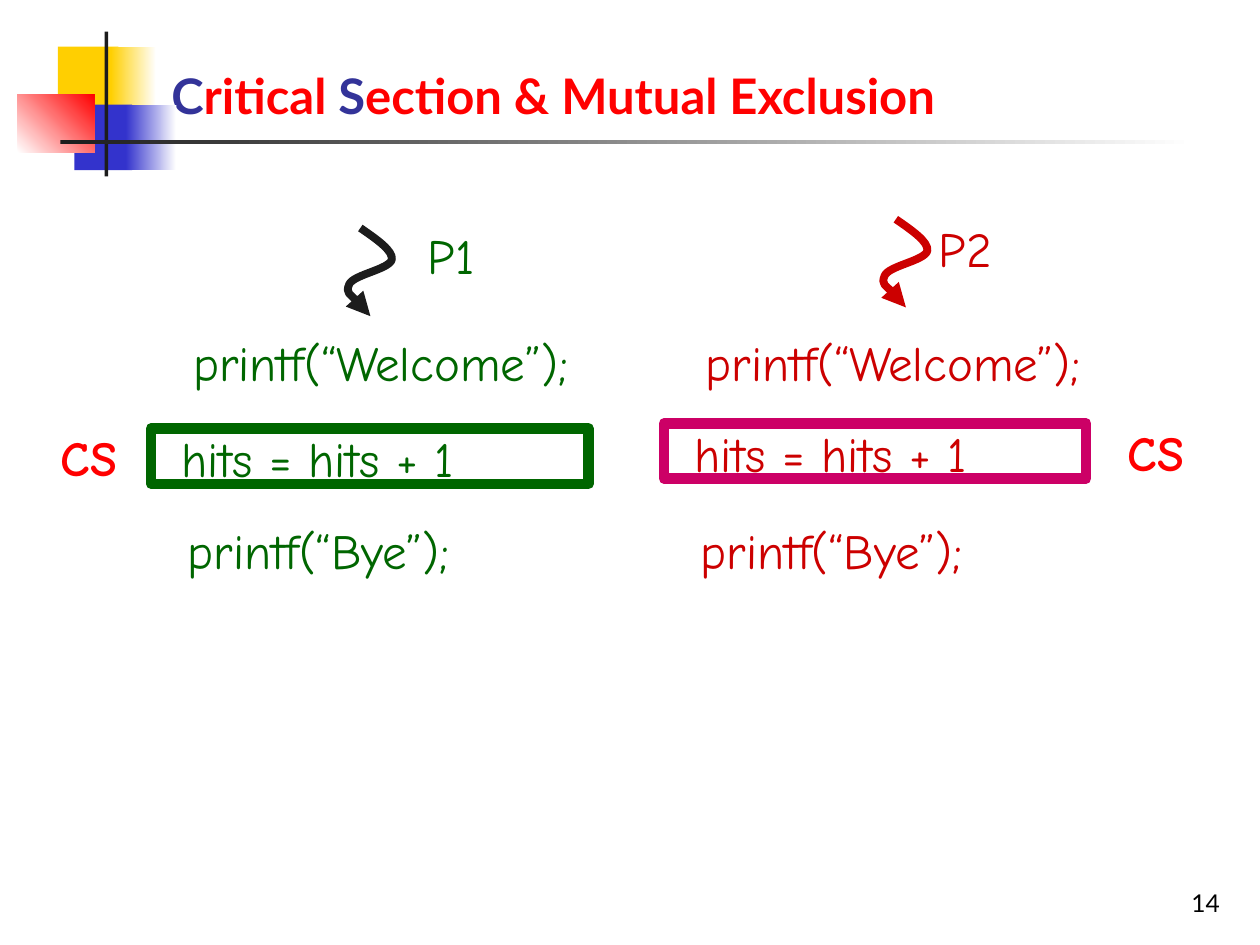
from lxml import etree
from pptx import Presentation
from pptx.dml.color import RGBColor
from pptx.enum.shapes import MSO_SHAPE
from pptx.enum.text import MSO_ANCHOR, MSO_AUTO_SIZE, PP_ALIGN
from pptx.oxml.ns import qn
from pptx.util import Inches, Pt

RECT = MSO_SHAPE.RECTANGLE
LEFT, CENTER, RIGHT = PP_ALIGN.LEFT, PP_ALIGN.CENTER, PP_ALIGN.RIGHT
BOTTOM, MIDDLE = MSO_ANCHOR.BOTTOM, MSO_ANCHOR.MIDDLE
TITLE_FONT, CODE_FONT = "Lato", "Comic Neue"
COLORS = {
    "yellow": "FFCF01", "blue": "3333CC", "red": "FF0000", "ink": "1C1C1C",
    "white": "FFFFFF", "black": "000000", "navy": "333399",
    "green": "006600", "crimson": "CC0000", "magenta": "CC0066",
}
ROW = 0.745  # distance between lines of code
LINE_H = 0.57
# Start point, then three points for each Bézier segment
SQUIGGLE = [(0.12, 0), (0.25, 0.09), (0.38, 0.18), (0.37, 0.25),
            (0.35, 0.33), (0.06, 0.37), (0.03, 0.45),
            (0, 0.52), (0.17, 0.65), (0.2, 0.7)]


def rgb(name):
    return RGBColor.from_string(COLORS[name])


def add_rect(s, box, fill=None, fade_to=None, angle=0, line=None):
    sp = s.shapes.add_shape(RECT, *map(Inches, box))
    sp.shadow.inherit = False
    if fade_to:
        sp.fill.gradient()
        sp.fill.gradient_angle = angle
        for stop, color in zip(sp.fill.gradient_stops, (fill, fade_to)):
            stop.color.rgb = rgb(color)
            stop.position = 0 if color == fill else 1
    elif fill:
        sp.fill.solid()
        sp.fill.fore_color.rgb = rgb(fill)
    else:
        sp.fill.background()
    if line:
        sp.line.color.rgb = rgb(line)
        sp.line.width = Pt(6)
    else:
        sp.line.fill.background()


def style(p, font, size, color, align, bold=False):
    p.alignment = align
    p.font.name, p.font.size, p.font.bold = font, Pt(size), bold
    p.font.color.rgb = rgb(color)


def add_code(s, x, y, w, text, color, bold=False):
    tf = s.shapes.add_textbox(*map(Inches, (x, y, w, LINE_H))).text_frame
    tf.word_wrap = False
    tf.auto_size = MSO_AUTO_SIZE.SHAPE_TO_FIT_TEXT
    tf.vertical_anchor = MIDDLE
    tf.text = text
    style(tf.paragraphs[0], CODE_FONT, 28, color, CENTER, bold)


def add_squiggle(s, x, y, color):
    """Draw a curved thread arrow, turning each three points into a Bézier."""
    points = [(Inches(x + dx), Inches(y + dy)) for dx, dy in SQUIGGLE]
    builder = s.shapes.build_freeform(*points[0])
    builder.add_line_segments(points[1:], close=False)
    sp = builder.convert_to_shape()
    sp.shadow.inherit = False
    sp.fill.background()
    sp.line.color.rgb = rgb(color)
    sp.line.width = Pt(4.5)
    segments = list(sp.element.iter(qn("a:lnTo")))
    for i in range(0, len(segments), 3):
        curve = etree.Element(qn("a:cubicBezTo"))
        segments[i].addprevious(curve)
        for segment in segments[i:i + 3]:
            curve.append(segment[0])
            segment.getparent().remove(segment)
    etree.SubElement(sp.line._get_or_add_ln(), qn("a:tailEnd"), type="triangle")


def draw_ornament(s, x, y):
    """Overlapping squares, vertical bar and fading title rule."""
    add_rect(s, (x + 0.32, y + 0.12, 0.48, 0.52), "yellow")
    add_rect(s, (x + 0.74, y + 0.12, 0.36, 0.52), "yellow", "white")
    add_rect(s, (x + 0.45, y + 0.58, 0.46, 0.52), "blue")
    add_rect(s, (x + 0.86, y + 0.58, 0.4, 0.52), "blue", "white")
    add_rect(s, (x, y + 0.5, 0.61, 0.46), "white", "red", 45)
    add_rect(s, (x + 0.69, y, 0.03, 1.15), "ink")
    add_rect(s, (x + 0.34, y + 0.86, 9, 0.03), "ink", "white")


def draw_title(s, box):
    title = s.shapes.title
    title.left, title.top, title.width, title.height = map(Inches, box)
    tf = title.text_frame
    tf.auto_size = MSO_AUTO_SIZE.NONE
    tf.vertical_anchor = BOTTOM
    p = tf.paragraphs[0]
    style(p, TITLE_FONT, 28, "red", LEFT, True)
    for text, color in (("C", "navy"), ("ritical ", "red"), ("S", "navy"),
                        ("ection & Mutual Exclusion", "red")):
        r = p.add_run()
        r.text = text
        r.font.color.rgb = rgb(color)


def draw_process(s, x, y, name, color, arrow, arrow_color, label, cs_x,
                 hits_dy, frame_w, frame_color):
    """One thread: arrow and label on top, then code with its framed section."""
    add_squiggle(s, x + arrow[0], y + arrow[1], arrow_color)
    add_code(s, x + label[0], y + label[1], label[2], name, color)
    add_code(s, x, y, 3.64, "printf(“Welcome”);", color)
    hits_y = y + ROW + hits_dy
    add_code(s, x, hits_y, 2.64, "hits = hits + 1", color)
    add_code(s, cs_x, hits_y - 0.01, 0.71, "CS", "red", True)
    add_rect(s, (x, hits_y + 0.05, frame_w, 0.44), line=frame_color)
    add_code(s, x, y + 2 * ROW, 2.66, "printf(“Bye”);", color)


def draw_page_number(s, box, number):
    tf = s.shapes.add_textbox(*map(Inches, box)).text_frame
    tf.word_wrap = True
    tf.vertical_anchor = BOTTOM
    tf.text = number
    style(tf.paragraphs[0], TITLE_FONT, 14, "black", RIGHT)


def main():
    prs = Presentation()
    prs.slide_width, prs.slide_height = Inches(10), Inches(7.5)
    s = prs.slides.add_slide(prs.slide_layouts[5])
    draw_ornament(s, 0.14, 0.25)
    draw_title(s, (1.26, 0.36, 8.52, 0.68))
    draw_process(s, 1.2, 2.59, "P1", "green", (1.54, -0.78), "ink",
                 (2.09, -0.85, 0.58), 0.35, 0.015, 3.47, "green")
    draw_process(s, 5.27, 2.59, "P2", "crimson", (1.72, -0.85), "crimson",
                 (2.07, -0.91, 0.64), 8.82, -0.025, 3.35, "magenta")
    draw_page_number(s, (7.7, 6.83, 2.08, 0.5), "14")
    prs.save("out.pptx")


if __name__ == "__main__":
    main()
